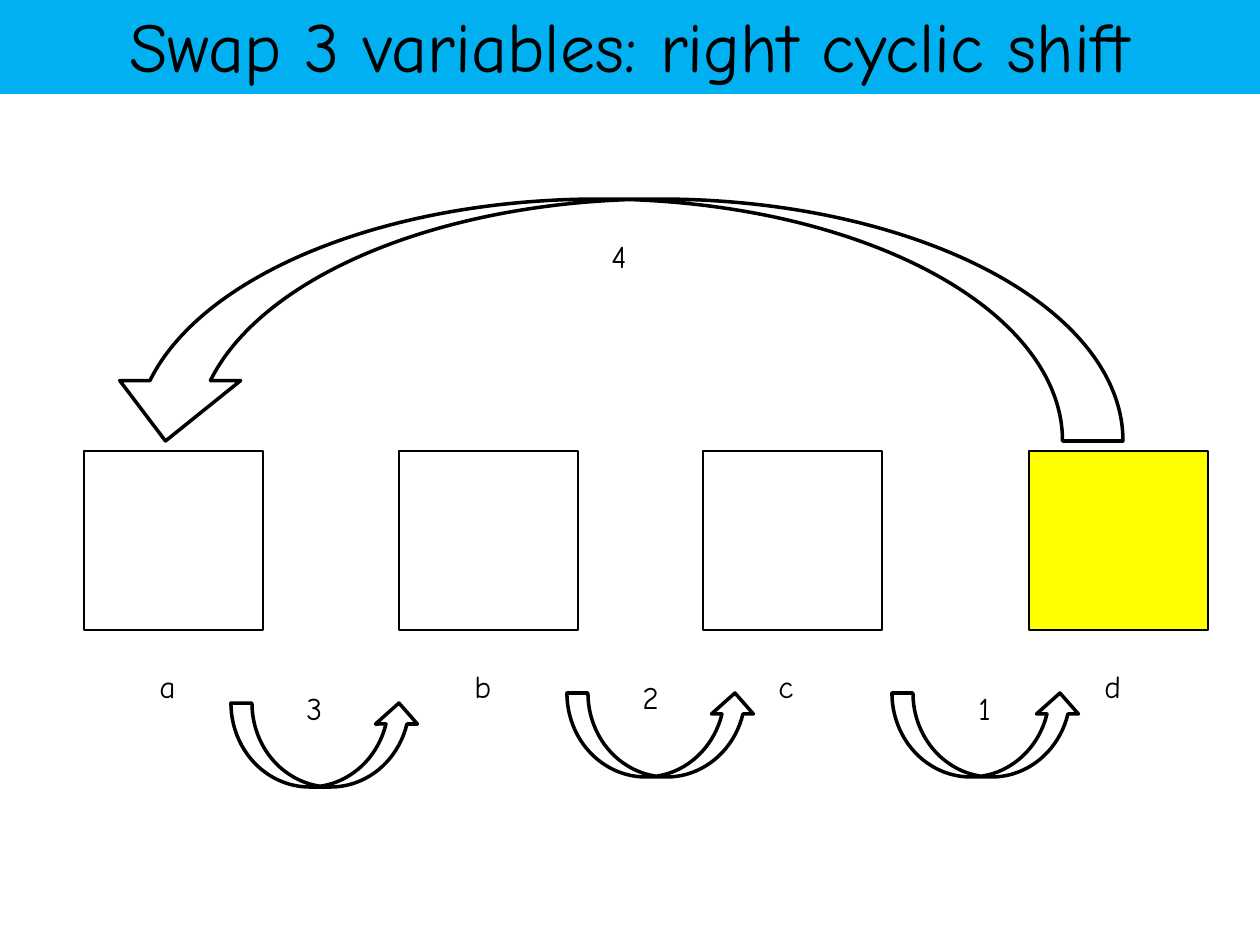
"""Build a slide showing a right cyclic shift of variables."""
from pptx import Presentation
from pptx import util as u
from pptx.dml.color import RGBColor
from pptx.enum import shapes, text

SCALE = 914400 / 126
BLACK = RGBColor(0, 0, 0)
BLUE = RGBColor(0x00, 0xB0, 0xF0)
YELLOW = RGBColor(0xFF, 0xFF, 0x00)
FONT = "Comic Neue"

TITLE = "Swap 3 variables: right cyclic shift"
CELLS = [("a", 84, 63, None), ("b", 399, 136, None),
         ("c", 703, 63, None), ("d", 1029, 63, YELLOW)]
STEPS = [("1", 966, 683), ("2", 630, 672), ("3", 294, 683), ("4", 599, 231)]
ARROWS = [((231, 703, 189, 84), 0), ((567, 693, 189, 84), 0),
          ((892, 693, 189, 84), 0), ((105, 199, 1018, 242), 180)]


def px(*vals):
    return [u.Emu(round(v * SCALE)) for v in vals]


def write(frame, words, size, **form):
    frame.text = words
    for key, val in form.items():
        setattr(frame, key, val)
    font = frame.paragraphs[0].runs[0].font
    look = {"name": FONT, "size": u.Pt(size)}
    for key, val in look.items():
        setattr(font, key, val)
    font.color.rgb = BLACK


def draw(kind, box, width, fill=None, turn=0):
    shape = slide.shapes.add_shape(kind, *px(*box))
    shape.shadow.inherit = False
    shape.rotation = turn
    if fill is None:
        shape.fill.background()
    else:
        shape.fill.solid()
        shape.fill.fore_color.rgb = fill
    shape.line.color.rgb = BLACK
    shape.line.width = u.Pt(width)


def label(words, left, top, width=63):
    box = slide.shapes.add_textbox(*px(left, top, width, 50))
    write(box.text_frame, words, 18, word_wrap=True,
          auto_size=text.MSO_AUTO_SIZE.SHAPE_TO_FIT_TEXT)


deck = Presentation()
deck.slide_width, deck.slide_height = px(1260, 945)
slide = deck.slides.add_slide(deck.slide_layouts[5])

title = slide.shapes.title
title.left, title.top, title.width, title.height = px(-1, -4, 1261, 98)
title.fill.solid()
title.fill.fore_color.rgb = BLUE
write(title.text_frame, TITLE, 40, word_wrap=True,
      auto_size=text.MSO_AUTO_SIZE.NONE,
      vertical_anchor=text.MSO_ANCHOR.MIDDLE)
title.text_frame.paragraphs[0].alignment = text.PP_ALIGN.CENTER

for name, left, width, fill in CELLS:
    draw(shapes.MSO_SHAPE.RECTANGLE, (left, 451, 179, 179), 1, fill)
    label(name, left + 63, 661, width)
for box, turn in ARROWS:
    draw(shapes.MSO_SHAPE.CURVED_UP_ARROW, box, 2, turn=turn)
for step in STEPS:
    label(*step)

deck.save("out.pptx")
